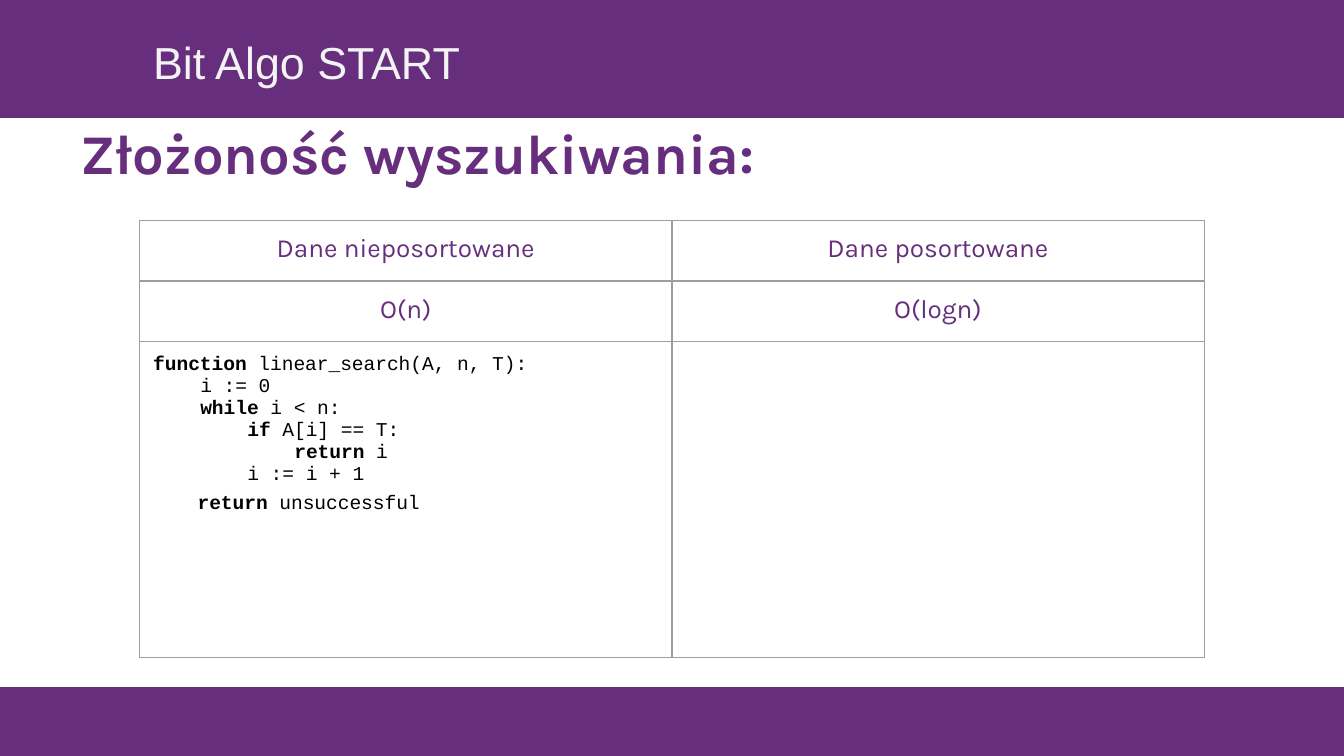
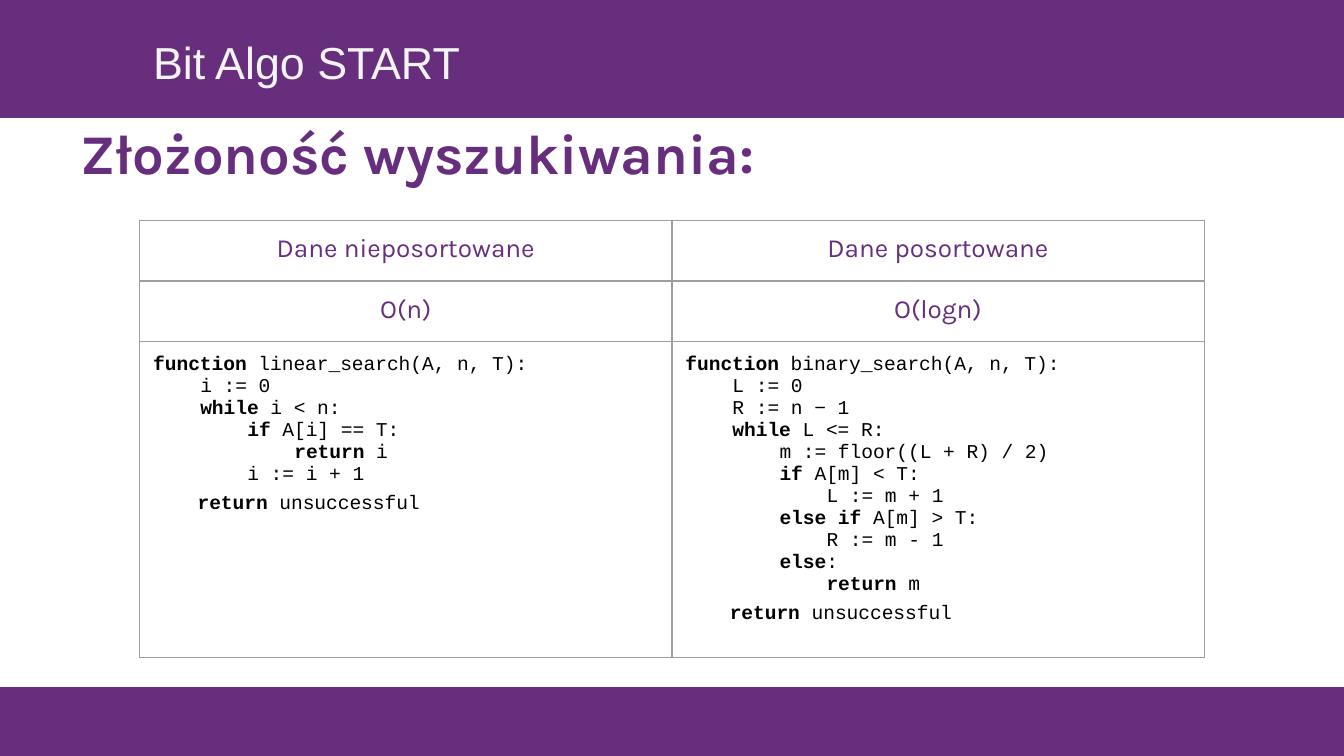
from lxml import etree
from pptx import Presentation
from pptx.dml.color import RGBColor
from pptx.enum.shapes import MSO_SHAPE
from pptx.enum.text import MSO_ANCHOR, MSO_AUTO_SIZE, PP_ALIGN
from pptx.oxml.ns import qn
from pptx.util import Inches, Pt

RECTANGLE = MSO_SHAPE.RECTANGLE
LEFT, CENTER = PP_ALIGN.LEFT, PP_ALIGN.CENTER
BOTTOM, TOP = MSO_ANCHOR.BOTTOM, MSO_ANCHOR.TOP
NO_FIT = MSO_AUTO_SIZE.NONE
TITLE_ONLY = 5

PURPLE, PALE, GREY, BLACK = "662E7D", "F3F3F3", "9E9E9E", "000000"
SANS, BODY, CODE = "Arial", "Karla", "Courier New"
PADDING = 0.1
CODE_STEP = 0.35  # four characters of code
FINAL_STEP = 0.33

# Boxes: left, top, width, height
HEADER_BAND = (-0.04, -0.03, 10.07, 0.9)
FOOTER_BAND = (-0.04, 5.12, 10.07, 0.57)
HEADER_TEXT = (1.04, 0.16, 4.45, 0.61)
TITLE_BOX = (0.5, 0.86, 9, 0.62)
TABLE_BOX = (1.04, 1.64, 7.92, 3.25)
LABEL_HEIGHT = 0.45

LABEL_ROWS = [("Dane nieposortowane", "Dane posortowane"), ("O(n)", "O(logn)")]

# Code lines: indent level, keyword, remainder
LINEAR_SEARCH = [
    (0, "function", " linear_search(A, n, T):"),
    (1, "", "i := 0"),
    (1, "while", " i < n:"),
    (2, "if", " A[i] == T:"),
    (3, "return", " i"),
    (2, "", "i := i + 1"),
    (1, "return", " unsuccessful"),
]
BINARY_SEARCH = [
    (0, "function", " binary_search(A, n, T):"),
    (1, "", "L := 0"),
    (1, "", "R := n − 1"),
    (1, "while", " L <= R:"),
    (2, "", "m := floor((L + R) / 2)"),
    (2, "if", " A[m] < T:"),
    (3, "", "L := m + 1"),
    (2, "else if", " A[m] > T:"),
    (3, "", "R := m - 1"),
    (2, "else", ":"),
    (3, "return", " m"),
    (1, "return", " unsuccessful"),
]


def color(value):
    return RGBColor.from_string(value)


def inches(box):
    return [Inches(length) for length in box]


def add_span(para, text, font, size, tint, bold=False):
    span = para.add_run()
    span.text = text
    span.font.name = font
    span.font.size = Pt(size)
    span.font.bold = bold
    span.font.color.rgb = color(tint)


def set_padding(target):
    target.margin_left = target.margin_right = Inches(PADDING)
    target.margin_top = target.margin_bottom = Inches(PADDING)


def add_band(page, box):
    band = page.shapes.add_shape(RECTANGLE, *inches(box))
    band.shadow.inherit = False
    band.fill.solid()
    band.fill.fore_color.rgb = color(PURPLE)
    band.line.color.rgb = color(PURPLE)
    band.line.width = Pt(1.5)


def add_frame(page):
    """Bands and the course name shared by the slides."""
    add_band(page, HEADER_BAND)
    add_band(page, FOOTER_BAND)
    frame = page.shapes.add_textbox(*inches(HEADER_TEXT)).text_frame
    frame.word_wrap = True
    set_padding(frame)
    add_span(frame.paragraphs[0], "Bit Algo START", SANS, 24, PALE)


def set_title(page, text, box):
    title = page.shapes.title
    title.left, title.top, title.width, title.height = inches(box)
    frame = title.text_frame
    frame.auto_size = NO_FIT
    frame.word_wrap = True
    frame.vertical_anchor = BOTTOM
    set_padding(frame)
    para = frame.paragraphs[0]
    para.alignment = LEFT
    add_span(para, text, BODY, 30, PURPLE, bold=True)


def style_cell(cell):
    set_padding(cell)
    cell.vertical_anchor = TOP
    cell.fill.background()
    properties = cell._tc.get_or_add_tcPr()
    # Borders come before the fill
    for place, side in enumerate(("lnL", "lnR", "lnT", "lnB")):
        border = etree.Element(qn(f"a:{side}"), w=str(Pt(0.75)))
        fill = etree.SubElement(border, qn("a:solidFill"))
        etree.SubElement(fill, qn("a:srgbClr"), val=GREY)
        properties.insert(place, border)


def write_code(cell, lines):
    frame = cell.text_frame
    for index, (level, keyword, remainder) in enumerate(lines):
        para = frame.add_paragraph() if index else frame.paragraphs[0]
        indent = level * CODE_STEP
        if index == len(lines) - 1:
            indent = FINAL_STEP
            para.line_spacing = 1.3
        para_properties = para._p.get_or_add_pPr()
        para_properties.set("marL", str(Inches(indent)))
        para_properties.set("indent", "0")
        if keyword:
            add_span(para, keyword, CODE, 10.5, BLACK, bold=True)
        add_span(para, remainder, CODE, 10.5, BLACK)


def add_comparison(page, box, listings):
    rows, columns = len(LABEL_ROWS) + 1, len(LABEL_ROWS[0])
    table = page.shapes.add_table(rows, columns, *inches(box)).table
    table.first_row = table.horz_banding = False
    width, height = box[2:]
    for column in table.columns:
        column.width = Inches(width / columns)
    for row in table.rows:
        row.height = Inches(LABEL_HEIGHT)
    table.rows[rows - 1].height = Inches(height - LABEL_HEIGHT * (rows - 1))
    for cell in table.iter_cells():
        style_cell(cell)

    # Headings and complexity
    for row, labels in enumerate(LABEL_ROWS):
        for column, label in enumerate(labels):
            para = table.cell(row, column).text_frame.paragraphs[0]
            para.alignment = CENTER
            add_span(para, label, BODY, 14, PURPLE)

    # Pseudocode
    for column, lines in enumerate(listings):
        write_code(table.cell(rows - 1, column), lines)


def add_search_slide(deck, listings):
    page = deck.slides.add_slide(deck.slide_layouts[TITLE_ONLY])
    add_frame(page)
    set_title(page, "Złożoność wyszukiwania:", TITLE_BOX)
    add_comparison(page, TABLE_BOX, listings)


def main():
    deck = Presentation()
    # Widescreen, 16:9
    deck.slide_width = Inches(10)
    deck.slide_height = Inches(10 * 9 / 16)
    add_search_slide(deck, [LINEAR_SEARCH])
    add_search_slide(deck, [LINEAR_SEARCH, BINARY_SEARCH])
    deck.save("out.pptx")


if __name__ == "__main__":
    main()
